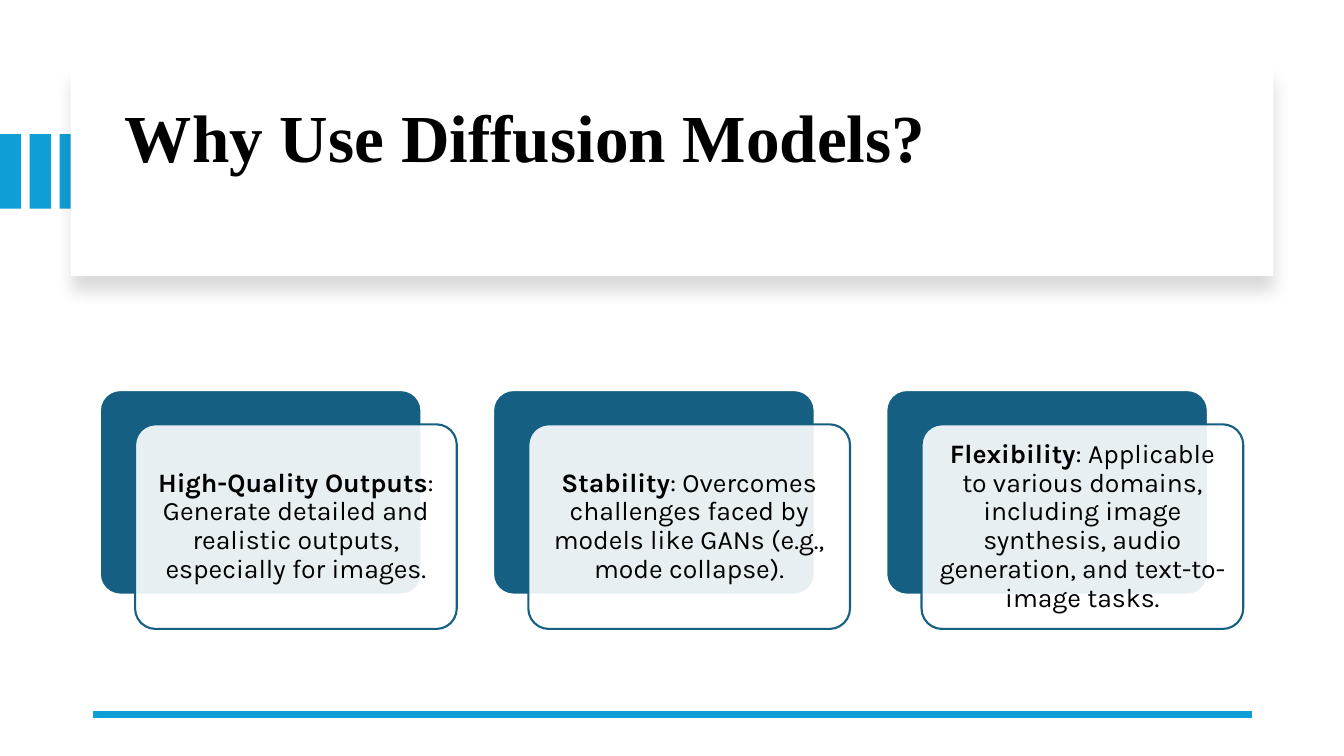
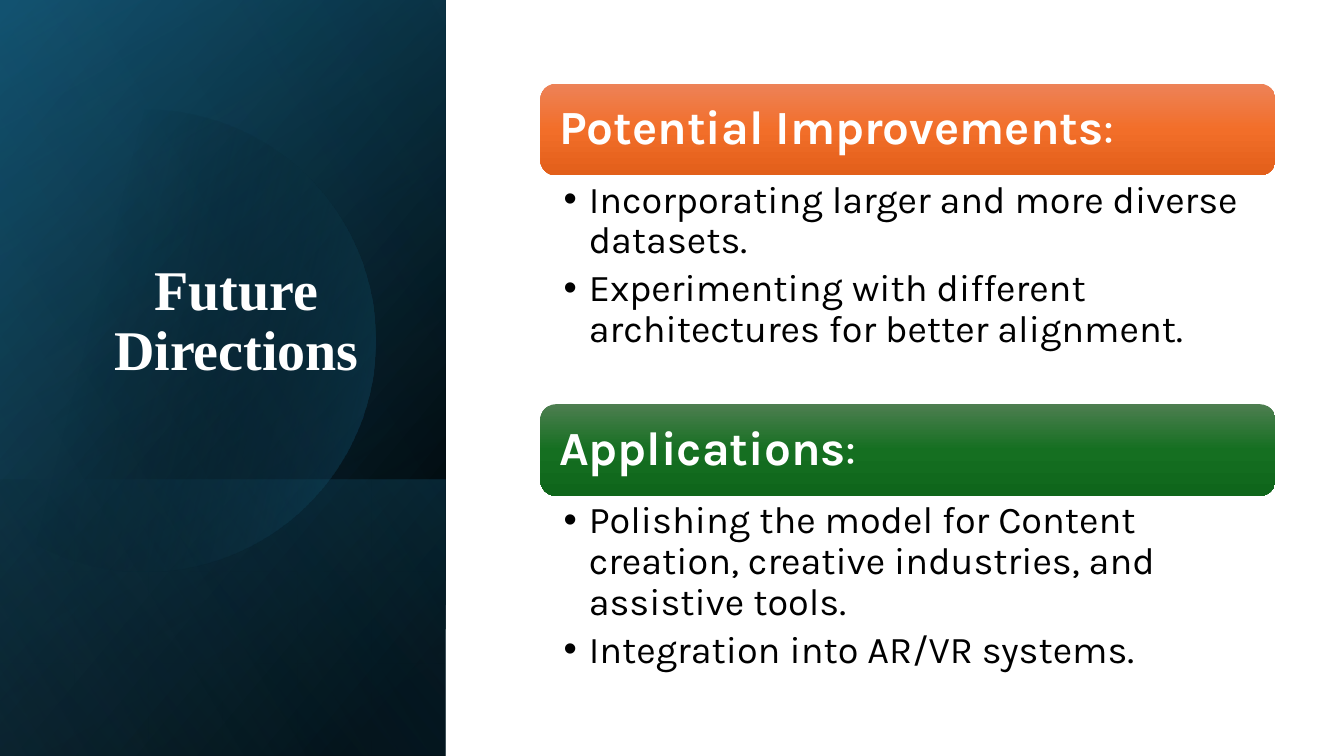
"""Build two slides on diffusion models: their benefits and future directions."""
import math

import pptx
import pptx.dml.color
import pptx.enum.shapes
import pptx.enum.text
import pptx.oxml
import pptx.oxml.ns
import pptx.util
from pptx.util import Inches

COLORS = {
    "white": "FFFFFF", "black": "000000", "accent": "0F9ED5", "teal": "156082",
    "navy": "104862", "sky": "46B1E1",
}
ORANGE = [(0, "ED8257"), (50, "F26E29"), (100, "E25F1A")]
GREEN = [(0, "4D7E50"), (50, "156F21"), (100, "0F661B")]
BODY_FONT, TITLE_FONT = "Karla", "Times New Roman"
SHAPE = pptx.enum.shapes.MSO_SHAPE
ALIGN = pptx.enum.text.PP_ALIGN
ANCHOR = pptx.enum.text.MSO_ANCHOR
NS = pptx.oxml.ns.nsdecls("a")
qn = pptx.oxml.ns.qn


def rgb(name):
    return pptx.dml.color.RGBColor.from_string(COLORS.get(name, name))


def color_xml(name, alpha=100):
    value = COLORS.get(name, name)
    return f'<a:srgbClr {NS} val="{value}"><a:alpha val="{alpha * 1000}"/></a:srgbClr>'


def set_gradient(sp, stops, angle):
    sp.fill.gradient()
    sp.fill.gradient_angle = 360 - angle
    gs_lst = sp.element.spPr.find(qn("a:gradFill")).find(qn("a:gsLst"))
    for gs in list(gs_lst):
        gs_lst.remove(gs)
    for pos, *color in stops:
        gs_lst.append(pptx.oxml.parse_xml(
            f'<a:gs {NS} pos="{pos * 1000}">{color_xml(*color)}</a:gs>'))


def style_shape(sp, fill=None, alpha=100, stops=None, angle=90, line=None):
    sp.shadow.inherit = False
    if stops:
        set_gradient(sp, stops, angle)
    else:
        sp.fill.solid()
        sp.fill.fore_color.rgb = rgb(fill)
        if alpha < 100:
            solid = sp.element.spPr.find(qn("a:solidFill"))
            solid.replace(solid[0], pptx.oxml.parse_xml(color_xml(fill, alpha)))
    if line:
        sp.line.color.rgb = rgb(line)
        sp.line.width = pptx.util.Pt(1.5)
    else:
        sp.line.fill.background()
    return sp


def add_box(s, x, y, w, h, radius=None, **style):
    kind = SHAPE.RECTANGLE if radius is None else SHAPE.ROUNDED_RECTANGLE
    sp = s.shapes.add_shape(kind, Inches(x), Inches(y), Inches(w), Inches(h))
    if radius is not None:
        sp.adjustments[0] = radius
    return style_shape(sp, **style)


def add_shadow(sp, alpha, blur, dist):
    sp.element.spPr.find(qn("a:effectLst")).append(pptx.oxml.parse_xml(
        f'<a:outerShdw {NS} blurRad="{pptx.util.Pt(blur)}" dist="{pptx.util.Pt(dist)}" '
        f'dir="5400000" algn="t" rotWithShape="0">{color_xml("black", alpha)}</a:outerShdw>'))


def set_frame(tf, margins, anchor):
    tf.word_wrap = True
    tf.vertical_anchor = anchor
    tf.margin_left, tf.margin_top, tf.margin_right, tf.margin_bottom = map(Inches, margins)
    return tf


def add_textbox(s, x, y, w, h, margins=(0.1, 0.05, 0.1, 0.05)):
    tb = s.shapes.add_textbox(Inches(x), Inches(y), Inches(w), Inches(h))
    return set_frame(tb.text_frame, margins, ANCHOR.TOP)


def add_text(p, text, lead="", size=19, color="black", font=BODY_FONT,
             align=ALIGN.LEFT, bullet=False, after=0):
    if bullet:
        ppr = p._p.get_or_add_pPr()
        ppr.set("marL", str(Inches(0.25)))
        ppr.set("indent", str(Inches(-0.25)))
        ppr.append(pptx.oxml.parse_xml(f'<a:buFont {NS} typeface="Arial"/>'))
        ppr.append(pptx.oxml.parse_xml(f'<a:buChar {NS} char="•"/>'))
    p.alignment = align
    p.line_spacing = 0.9
    p.space_after = pptx.util.Pt(after)
    for part, bold in ((lead, True), (text, False)):
        if part:
            r = p.add_run()
            r.text = part
            r.font.size = pptx.util.Pt(size)
            r.font.name = font
            r.font.bold = bold
            r.font.color.rgb = rgb(color)


def add_title(s, text, x, y, w, h, **fmt):
    tf = add_textbox(s, x, y, w, h)
    add_text(tf.paragraphs[0], "", lead=text, font=TITLE_FONT, **fmt)


def add_rule(s, x1, x2, y):
    ln = s.shapes.add_connector(pptx.enum.shapes.MSO_CONNECTOR.STRAIGHT,
                                Inches(x1), Inches(y), Inches(x2), Inches(y))
    ln.line.color.rgb = rgb("accent")
    ln.line.width = pptx.util.Pt(4.5)
    ln._element.spPr.append(pptx.oxml.parse_xml(f"<a:effectLst {NS}/>"))


def add_card(s, x, y, lead, text):
    w, h = 3.19, 2.03
    add_box(s, x, y, w, h, radius=0.1, fill="teal", line="white")
    sp = add_box(s, x + 0.35, y + 0.34, w, h, radius=0.1,
                 fill="white", alpha=90, line="teal")
    tf = set_frame(sp.text_frame, [0.08] * 4, ANCHOR.MIDDLE)
    add_text(tf.paragraphs[0], text, lead=lead, align=ALIGN.CENTER)


def add_section(s, y, body_h, heading, bullets, stops):
    x, w, h = 5.36, 7.29, 0.91
    sp = add_box(s, x, y, w, h, radius=0.17, stops=stops)
    tf = set_frame(sp.text_frame, [0.14] * 4, ANCHOR.MIDDLE)
    add_text(tf.paragraphs[0], ":", lead=heading, size=34, color="white")
    tf = add_textbox(s, x, y + h, w, body_h, margins=(0.23, 0.05, 0.26, 0.05))
    for i, text in enumerate(bullets):
        p = tf.add_paragraph() if i else tf.paragraphs[0]
        add_text(p, text, size=27, bullet=True, after=5)


def add_disc(s, cx, cy, radius, **style):
    half = math.degrees(math.acos(-cx / radius))
    angles = [math.radians(-half + 2 * half * i / 90) for i in range(91)]
    points = [(Inches(cx + radius * math.cos(a)), Inches(cy + radius * math.sin(a)))
              for a in angles]
    fb = s.shapes.build_freeform(*points[0])
    fb.add_line_segments(points[1:], close=True)
    style_shape(fb.convert_to_shape(), **style)


def add_side_panel(s):
    w, h = 4.42, 7.5
    add_box(s, 0, 0, w, h, stops=[(8, "black"), (100, "navy")], angle=220)
    add_box(s, 0, 0, w, h, stops=[(0, "black", 0), (99, "teal", 46)], angle=240)
    add_box(s, 0, 4.76, w, h - 4.76,
            stops=[(2, "teal", 29), (100, "black", 30)], angle=140)
    add_disc(s, 1.43, 3.38, 2.29, stops=[(29, "black", 0), (100, "teal", 43)], angle=14)
    add_box(s, 0, 0, w, h, stops=[(0, "black", 0), (99, "sky", 11)], angle=150)


def build_benefits(s):
    for i in range(3):
        add_box(s, i * 0.295, 1.33, 0.21, 0.74, fill="accent")
    add_shadow(add_box(s, 0.7, 0.67, 11.93, 2.07, fill="white"), alpha=15, blur=11, dist=10)
    add_title(s, "Why Use Diffusion Models?", 1.14, 0.99, 11.13, 0.8, size=48)
    add_rule(s, 0.92, 12.42, 7.09)
    cards = [
        ("High-Quality Outputs",
         ": Generate detailed and realistic outputs, especially for images."),
        ("Stability",
         ": Overcomes challenges faced by models like GANs (e.g., mode collapse)."),
        ("Flexibility",
         ": Applicable to various domains, including image synthesis, audio generation, "
         "and text-to-image tasks."),
    ]
    for i, (lead, text) in enumerate(cards):
        add_card(s, 0.99 + i * 3.9, 3.87, lead, text)


def build_future(s):
    add_side_panel(s)
    add_title(s, "Future Directions", 0.64, 2.55, 3.41, 1.3,
              size=40, color="white", align=ALIGN.CENTER)
    add_section(s, 0.83, 2.27, "Potential Improvements", [
        "Incorporating larger and more diverse datasets.",
        "Experimenting with different architectures for better alignment.",
    ], ORANGE)
    add_section(s, 4.01, 1.85, "Applications", [
        "Polishing the model for Content creation, creative industries, and assistive tools.",
        "Integration into AR/VR systems.",
    ], GREEN)


def main():
    prs = pptx.Presentation()
    prs.slide_width, prs.slide_height = Inches(13.33), Inches(7.5)
    for build in (build_benefits, build_future):
        build(prs.slides.add_slide(prs.slide_layouts[6]))
    prs.save("out.pptx")


if __name__ == "__main__":
    main()
